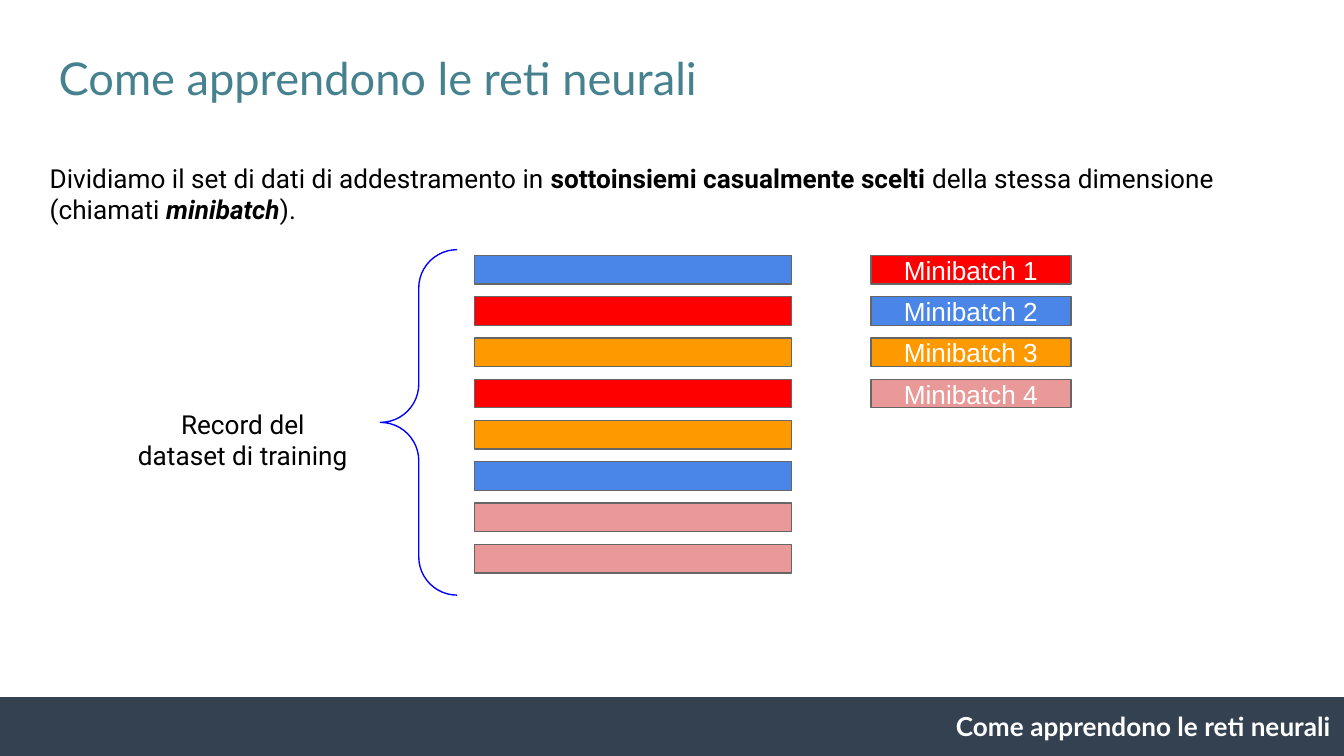
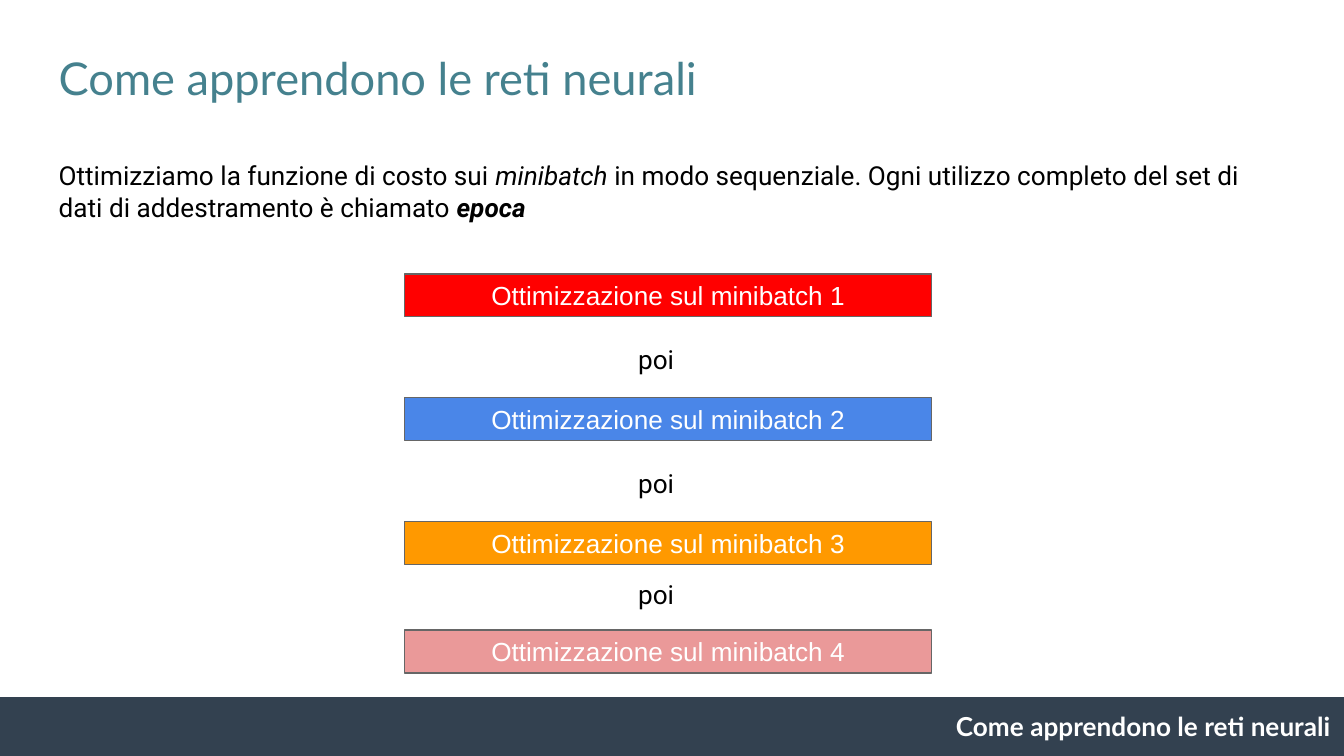
"""Two slides on how neural networks learn from minibatches."""
from pptx import Presentation
from pptx.dml.color import RGBColor
from pptx.enum.shapes import MSO_SHAPE as Shape
from pptx.enum.text import MSO_ANCHOR as Anchor, MSO_AUTO_SIZE as AutoSize, PP_ALIGN as Align
from pptx.util import Cm, Pt

COLOURS = {
    "title": "45818E", "band": "334150", "outline": "666666", "brace": "0000FF",
    "text": "000000", "white": "FFFFFF",
    1: "FF0000", 2: "4A86E8", 3: "FF9900", 4: "EA9999",
}
TITLE = "Come apprendono le reti neurali"
INTROS = [
    (0.69, 2.82, [
        ("Dividiamo il set di dati di addestramento in ", ""),
        ("sottoinsiemi casualmente scelti ", "b"),
        ("della stessa dimensione (chiamati ", ""),
        ("minibatch", "bi"),
        (").", ""),
    ]),
    (0.86, 2.77, [
        ("Ottimizziamo la funzione di costo sui ", ""),
        ("minibatch ", "i"),
        ("in modo sequenziale. Ogni utilizzo completo del set di dati di addestramento è chiamato ", ""),
        ("epoca", "bi"),
    ]),
]


def write(shape, segments, font="Roboto", size=14, colour="text", align=Align.LEFT, anchor=Anchor.TOP):
    """Fill a shape with one paragraph of (text, style) segments."""
    frame = shape.text_frame
    frame.word_wrap = True
    frame.auto_size = AutoSize.NONE
    frame.vertical_anchor = anchor
    frame.margin_left = frame.margin_right = frame.margin_top = frame.margin_bottom = Cm(0.25)
    paragraph = frame.paragraphs[0]
    paragraph.alignment = align
    for text, style in segments:
        run = paragraph.add_run()
        run.text = text
        run.font.name = font
        run.font.size = Pt(size)
        run.font.bold = "b" in style
        run.font.italic = "i" in style
        run.font.color.rgb = RGBColor.from_string(COLOURS[colour])


def add_shape(slide, kind, left, top, width, height, fill=None, line=None, label=None):
    """Add a flat preset shape with an optional centred label."""
    shape = slide.shapes.add_shape(kind, Cm(left), Cm(top), Cm(width), Cm(height))
    shape.shadow.inherit = False
    if fill:
        shape.fill.solid()
        shape.fill.fore_color.rgb = RGBColor.from_string(COLOURS[fill])
    else:
        shape.fill.background()
    if line:
        shape.line.color.rgb = RGBColor.from_string(COLOURS[line])
        shape.line.width = Pt(0.75)
    else:
        shape.line.fill.background()
    if label:
        write(shape, [(label, "")], "Arial", 14, "white", Align.CENTER, Anchor.MIDDLE)
    return shape


presentation = Presentation()
presentation.slide_width = Cm(25.4)
presentation.slide_height = Cm(14.29)

slides = []
for intro_left, intro_top, segments in INTROS:
    slide = presentation.slides.add_slide(presentation.slide_layouts[5])
    slides.append(slide)
    title = slide.shapes.title
    title.left, title.top, title.width, title.height = Cm(0.86), Cm(0.71), Cm(23.67), Cm(1.6)
    write(title, [(TITLE, "")], "Lato", 24.2, "title")
    add_shape(slide, Shape.RECTANGLE, -0.05, 13.18, 25.45, 1.11, "band")
    footer = slide.shapes.add_textbox(Cm(15.65), Cm(13.18), Cm(9.75), Cm(1.11))
    write(footer, [(TITLE, "b")], "Lato", 14, "white", Align.RIGHT)
    footer.text_frame.auto_size = AutoSize.SHAPE_TO_FIT_TEXT
    intro = slide.shapes.add_textbox(Cm(intro_left), Cm(intro_top), Cm(23.24), Cm(1.02))
    write(intro, segments)

dataset_slide, epoch_slide = slides

RECORDS_TOP, RECORD_PITCH, RECORD_HEIGHT = 4.83, 0.78, 0.54
for row, batch in enumerate([2, 1, 3, 1, 3, 2, 4, 4]):
    add_shape(dataset_slide, Shape.RECTANGLE, 8.97, RECORDS_TOP + row * RECORD_PITCH,
              5.99, RECORD_HEIGHT, batch, "outline")
for batch in range(1, 5):
    add_shape(dataset_slide, Shape.RECTANGLE, 16.46, RECORDS_TOP + (batch - 1) * RECORD_PITCH,
              3.78, RECORD_HEIGHT, batch, "outline", f"Minibatch {batch}")
records_label = dataset_slide.shapes.add_textbox(Cm(2.34), Cm(7.47), Cm(4.5), Cm(1.02))
write(records_label, [("Record del dataset di training", "")], align=Align.CENTER)
brace = add_shape(dataset_slide, Shape.LEFT_BRACE, 7.19, 4.72, 1.45, 6.53, line="brace")
brace.adjustments[0] = 0.5
brace.adjustments[1] = 0.5

for batch, top in enumerate([5.18, 7.52, 9.86, 11.91], start=1):
    add_shape(epoch_slide, Shape.RECTANGLE, 7.65, top, 9.96, 0.81, batch, "outline",
              f"Ottimizzazione sul minibatch {batch}")
for top in [6.25, 8.59, 10.69]:
    then_label = epoch_slide.shapes.add_textbox(Cm(11.81), Cm(top), Cm(1.52), Cm(1.02))
    write(then_label, [("poi", "")])

presentation.save("out.pptx")
